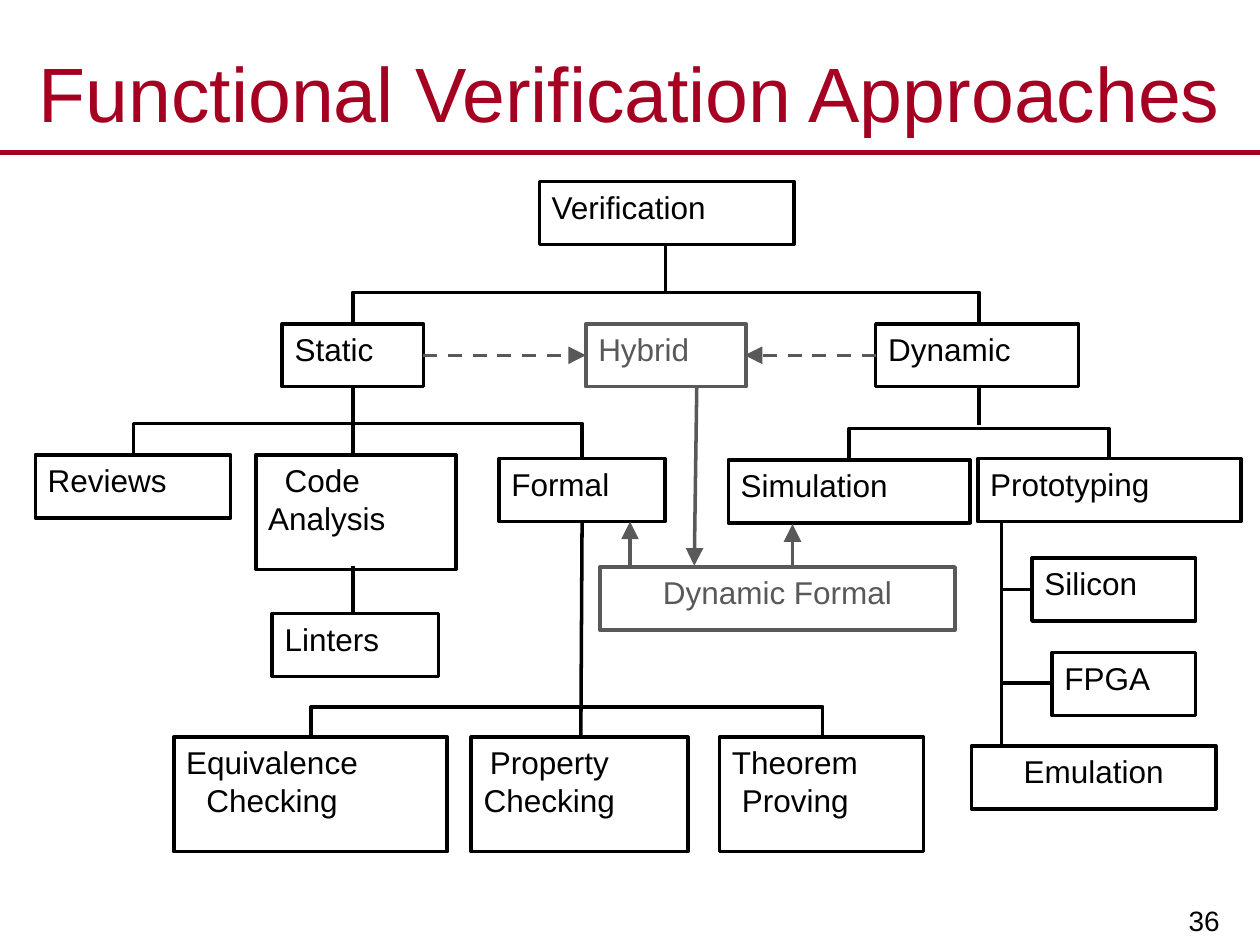
import dataclasses

import pptx
import pptx.dml.color
import pptx.enum.dml
import pptx.enum.shapes
import pptx.enum.text
import pptx.oxml
import pptx.oxml.ns
import pptx.util

Inches = pptx.util.Inches
Pt = pptx.util.Pt
ALIGN = pptx.enum.text.PP_ALIGN
ANCHOR = pptx.enum.text.MSO_ANCHOR

CRIMSON = pptx.dml.color.RGBColor(0xA5, 0x00, 0x21)
BLACK = pptx.dml.color.RGBColor(0x00, 0x00, 0x00)
GRAY = pptx.dml.color.RGBColor(0x59, 0x59, 0x59)
FONT = "Arial"
NODE_HEIGHT = 0.5
TALL_NODE_HEIGHT = 0.91


@dataclasses.dataclass
class Region:
    """A part of the slide; positions are inches from its top left corner."""

    slide: object
    left: float
    top: float

    def point(self, x, y):
        """Turn a position in the region into slide lengths."""
        return Inches(self.left + x), Inches(self.top + y)


def write(text_frame, lines, size, color, align, indents=(0, 0)):
    """Write each line as one paragraph with its own left indent."""
    for index, (line, indent) in enumerate(zip(lines, indents)):
        paragraph = text_frame.paragraphs[0] if index == 0 else text_frame.add_paragraph()
        paragraph.alignment = align
        if indent:
            paragraph._p.get_or_add_pPr().set("marL", str(Inches(indent)))
        run = paragraph.add_run()
        run.text = line
        run.font.name = FONT
        run.font.size = Pt(size)
        run.font.color.rgb = color


def add_label(region, width, height, text, size, color, align, anchor):
    """Fill the region with a wrapped text box."""
    box = region.slide.shapes.add_textbox(*region.point(0, 0), Inches(width), Inches(height))
    frame = box.text_frame
    frame.word_wrap = True
    frame.vertical_anchor = anchor
    frame.margin_left = frame.margin_right = Inches(0.11)
    frame.margin_top = frame.margin_bottom = Inches(0.06)
    write(frame, [text], size, color, align)


def add_node(region, x, y, width, *lines, color=BLACK, align=ALIGN.LEFT, indents=(0, 0)):
    """Add an outlined box, taller when it holds two lines."""
    height = NODE_HEIGHT if len(lines) == 1 else TALL_NODE_HEIGHT
    node = region.slide.shapes.add_shape(
        pptx.enum.shapes.MSO_SHAPE.RECTANGLE, *region.point(x, y), Inches(width), Inches(height))
    node.shadow.inherit = False
    node.fill.background()
    node.line.color.rgb = color
    node.line.width = Pt(2)
    frame = node.text_frame
    frame.word_wrap = True
    frame.vertical_anchor = ANCHOR.TOP
    write(frame, lines, 18, color, align, indents)


def add_line(region, start, end, color=BLACK, width=2, arrow=False, dashed=False):
    """Join two points, with an arrowhead at the end if asked."""
    line = region.slide.shapes.add_connector(
        pptx.enum.shapes.MSO_CONNECTOR.STRAIGHT, *region.point(*start), *region.point(*end))
    line.line.color.rgb = color
    line.line.width = Pt(width)
    if dashed:
        line.line.dash_style = pptx.enum.dml.MSO_LINE.DASH
    if arrow:
        head = pptx.oxml.parse_xml(
            '<a:tailEnd %s type="triangle" w="lg" len="lg"/>' % pptx.oxml.ns.nsdecls("a"))
        line.line._get_or_add_ln().append(head)
    effects = pptx.oxml.parse_xml("<a:effectLst %s/>" % pptx.oxml.ns.nsdecls("a"))
    line._element.spPr.append(effects)


def add_bracket(region, left, right, top, left_foot, right_foot):
    """Add the three-sided line that spans sibling nodes."""
    builder = region.slide.shapes.build_freeform(*region.point(left, left_foot), scale=1.0)
    corners = [(left, top), (right, top), (right, right_foot)]
    builder.add_line_segments([region.point(*corner) for corner in corners], close=False)
    bracket = builder.convert_to_shape()
    bracket.shadow.inherit = False
    bracket.fill.background()
    bracket.line.color.rgb = BLACK
    bracket.line.width = Pt(2)


def add_header(region):
    """Add the title and the rule below it."""
    add_line(region, (0, 0.91), (10, 0.91), CRIMSON, 3)
    add_label(region, 10, 0.86, "Functional Verification Approaches", 44, CRIMSON,
              ALIGN.CENTER, ANCHOR.MIDDLE)


def add_root(region):
    """Add the root and its two main branches."""
    add_node(region, 2.04, 0, 2.02, "Verification")
    add_node(region, 0, 1.13, 1.12, "Static")
    add_node(region, 4.71, 1.13, 1.61, "Dynamic")
    add_line(region, (3.04, 0.51), (3.04, 0.88))
    add_bracket(region, 0.56, 5.53, 0.88, 1.13, 1.13)


def add_static_branch(region):
    """Add the static methods and the linters."""
    add_node(region, 0, 0.53, 1.55, "Reviews")
    add_node(region, 1.75, 0.53, 1.59, "Code ", "Analysis", indents=(0.13, 0))
    add_node(region, 3.68, 0.56, 1.32, "Formal")
    add_node(region, 1.88, 1.79, 1.32, "Linters")
    add_bracket(region, 0.78, 4.34, 0.28, 0.53, 0.56)
    add_line(region, (2.52, 0), (2.52, 0.53))
    add_line(region, (2.52, 1.41), (2.52, 1.79))


def add_formal_branch(region):
    """Add the three formal methods below their stem."""
    add_node(region, 0, 1.71, 2.17, "Equivalence", "Checking", indents=(0, 0.16))
    add_node(region, 2.36, 1.71, 1.72, "Property", "Checking", indents=(0.05, 0))
    add_node(region, 4.33, 1.71, 1.62, "Theorem", "Proving", indents=(0, 0.08))
    add_line(region, (3.24, 0), (3.23, 1.71))
    add_bracket(region, 1.09, 5.15, 1.47, 1.71, 1.71)


def add_dynamic_branch(region):
    """Add simulation, prototyping and the prototyping platforms."""
    add_node(region, 0, 0.57, 1.92, "Simulation")
    add_node(region, 1.98, 0.56, 2.09, "Prototyping")
    add_line(region, (1.99, 0), (1.99, 0.29))
    add_bracket(region, 0.96, 3.02, 0.32, 0.57, 0.56)
    add_node(region, 2.41, 1.35, 1.3, "Silicon")
    add_node(region, 2.57, 2.1, 1.14, "FPGA")
    add_node(region, 1.93, 2.84, 1.94, "Emulation", align=ALIGN.CENTER)
    add_line(region, (2.17, 1.05), (2.17, 2.84))
    for y, end in ((1.6, 2.41), (2.34, 2.57)):
        add_line(region, (2.17, y), (end, y))


def add_hybrid_branch(region):
    """Add the gray hybrid methods and their arrows."""
    add_node(region, 1.29, 0, 1.27, "Hybrid", color=GRAY)
    add_node(region, 1.4, 1.93, 2.82, "Dynamic Formal", color=GRAY, align=ALIGN.CENTER)
    arrows = [
        ((0, 0.25), (1.29, 0.25), True),
        ((3.59, 0.25), (2.55, 0.25), True),
        ((2.17, 0.5), (2.15, 1.92), False),
        ((1.64, 1.92), (1.64, 1.57), False),
        ((2.93, 1.92), (2.93, 1.59), False),
    ]
    for start, end, dashed in arrows:
        add_line(region, start, end, GRAY, arrow=True, dashed=dashed)


def build():
    """Build and save the slide."""
    presentation = pptx.Presentation()
    presentation.slide_width = Inches(10)
    presentation.slide_height = Inches(7.5)
    slide = presentation.slides.add_slide(presentation.slide_layouts[6])
    add_header(Region(slide, 0, 0.3))
    add_root(Region(slide, 2.24, 1.44))
    add_static_branch(Region(slide, 0.28, 3.08))
    add_formal_branch(Region(slide, 1.38, 4.14))
    add_dynamic_branch(Region(slide, 5.78, 3.08))
    add_hybrid_branch(Region(slide, 3.36, 2.57))
    add_label(Region(slide, 7.8, 6.93), 1.99, 0.57, "36", 16, BLACK,
              ALIGN.RIGHT, ANCHOR.BOTTOM)
    presentation.save("out.pptx")


build()
